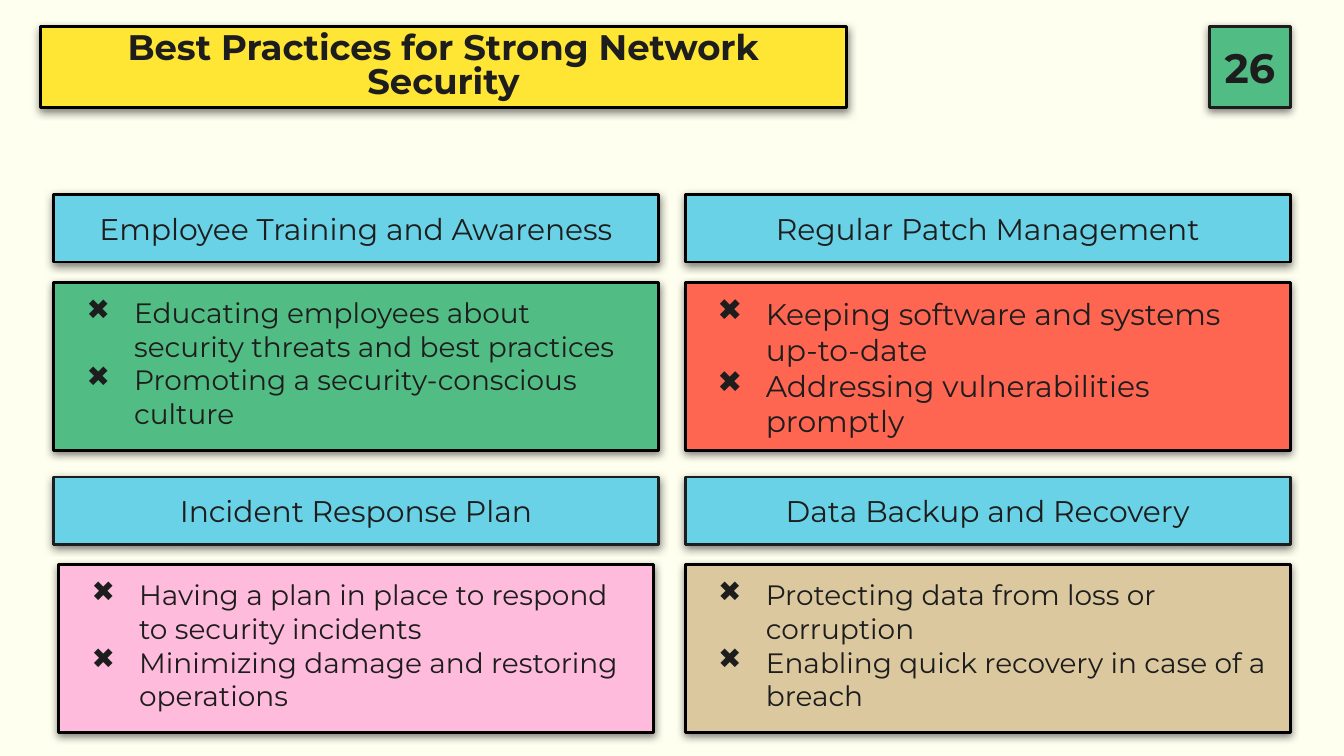
from lxml import etree
from pptx import Presentation
from pptx.dml.color import RGBColor
from pptx.enum.shapes import MSO_SHAPE
from pptx.enum.text import MSO_ANCHOR, PP_ALIGN
from pptx.oxml.ns import qn
from pptx.util import Pt

RECT = MSO_SHAPE.RECTANGLE
TOP, MIDDLE = MSO_ANCHOR.TOP, MSO_ANCHOR.MIDDLE
LEFT, CENTER = PP_ALIGN.LEFT, PP_ALIGN.CENTER
COLORS = {
    "cream": "FFFFF0", "ink": "1D1D1D", "black": "000000", "green": "51BD85",
    "red": "FF6652", "blue": "6AD2E6", "pink": "FFBBDC", "tan": "DBC89F",
    "yellow": "FFE534",
}
CARDS = [
    ("Employee Training and Awareness", "black", "green", 15, 0,
     ["Educating employees about security threats and best practices",
      "Promoting a security-conscious culture"]),
    ("Regular Patch Management", "black", "red", 16, 0,
     ["Keeping software and systems up-to-date",
      "Addressing vulnerabilities promptly"]),
    ("Incident Response Plan", "ink", "pink", 15, 2.7,
     ["Having a plan in place to respond to security incidents",
      "Minimizing damage and restoring operations"]),
    ("Data Backup and Recovery", "ink", "tan", 15, 0,
     ["Protecting data from loss or corruption",
      "Enabling quick recovery in case of a breach"]),
]


def color(name):
    return RGBColor.from_string(COLORS[name])


class Deck:
    font = "Montserrat"

    def __init__(self, slide):
        self.slide = slide
        fill = slide.background.fill
        fill.solid()
        fill.fore_color.rgb = color("cream")

    def shade(self, shape):
        shape.shadow.inherit = False
        effects = shape._element.spPr.find(qn("a:effectLst"))
        outer = etree.SubElement(
            effects, qn("a:outerShdw"), blurRad=str(Pt(4.5)), dist=str(Pt(1.5)),
            dir="5400000", algn="bl", rotWithShape="0")
        tint = etree.SubElement(outer, qn("a:srgbClr"), val=COLORS["black"])
        etree.SubElement(tint, qn("a:alpha"), val="50000")

    def mark(self, para, indent):
        props = para._p.get_or_add_pPr()
        props.set("marL", str(Pt(36)))
        props.set("indent", str(-Pt(indent)))
        tint = etree.SubElement(props, qn("a:buClr"))
        etree.SubElement(tint, qn("a:srgbClr"), val=COLORS["ink"])
        etree.SubElement(props, qn("a:buChar"), char="✖")

    def style(self, para, size, bold=False):
        para.font.name = self.font
        para.font.size = Pt(size)
        para.font.bold = bold
        para.font.color.rgb = color("ink")

    def box(self, x, y, wide, high, fill, line, anchor=MIDDLE):
        shape = self.slide.shapes.add_shape(RECT, Pt(x), Pt(y), Pt(wide), Pt(high))
        shape.fill.solid()
        shape.fill.fore_color.rgb = color(fill)
        shape.line.color.rgb = color(line)
        shape.line.width = Pt(1.5)
        self.shade(shape)
        frame = shape.text_frame
        frame.word_wrap = True
        frame.vertical_anchor = anchor
        frame.margin_left = frame.margin_right = Pt(7.2)
        frame.margin_top = frame.margin_bottom = Pt(7.2)
        return frame

    def label(self, text, size, *place, bold=False, spacing=None):
        para = self.box(*place).paragraphs[0]
        para.text = text
        para.alignment = CENTER
        para.line_spacing = spacing
        self.style(para, size, bold)

    def bullets(self, items, size, *place):
        frame = self.box(*place, TOP)
        for i, item in enumerate(items):
            para = frame.add_paragraph() if i else frame.paragraphs[0]
            para.text = item
            para.alignment = LEFT
            self.mark(para, 18 + size / 2)
            self.style(para, size)


def main():
    show = Presentation()
    show.slide_width, show.slide_height = Pt(720), Pt(405)
    deck = Deck(show.slides.add_slide(show.slide_layouts[6]))
    deck.label("26", 22, 648, 14.4, 43.2, 43.2, "green", "ink", bold=True)
    deck.label("Best Practices for Strong Network Security", 19,
               21.6, 14.4, 432, 43.2, "yellow", "black", bold=True, spacing=0.8)
    wide, gap = 324, 14.4
    for i, (head, line, fill, size, inset, items) in enumerate(CARDS):
        row, col = divmod(i, 2)
        x = 28.8 + col * (wide + gap)
        y = 104.4 + row * 151.2
        deck.label(head, 16, x, y, wide, 36, "blue", line)
        deck.bullets(items, size, x + inset, y + 46.8, wide - 2 * inset, 90,
                     fill, "black")
    show.save("out.pptx")


if __name__ == "__main__":
    main()
